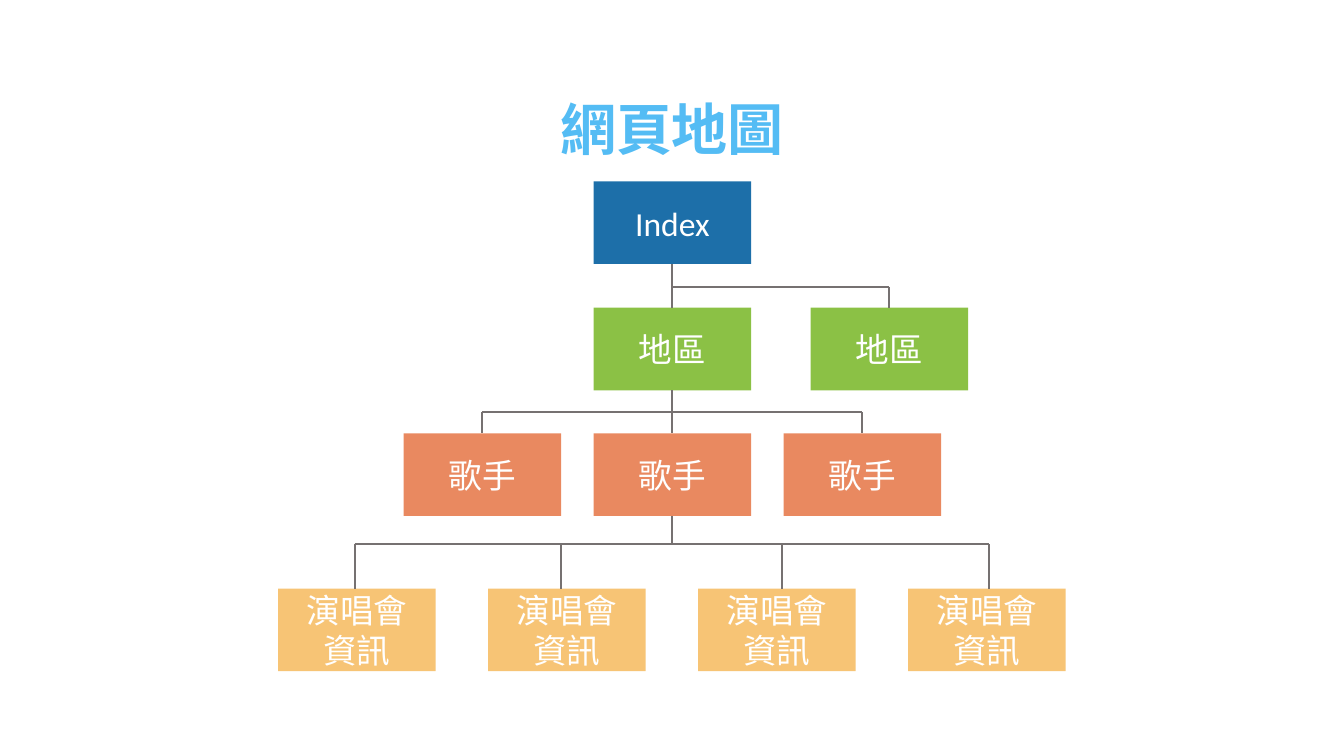
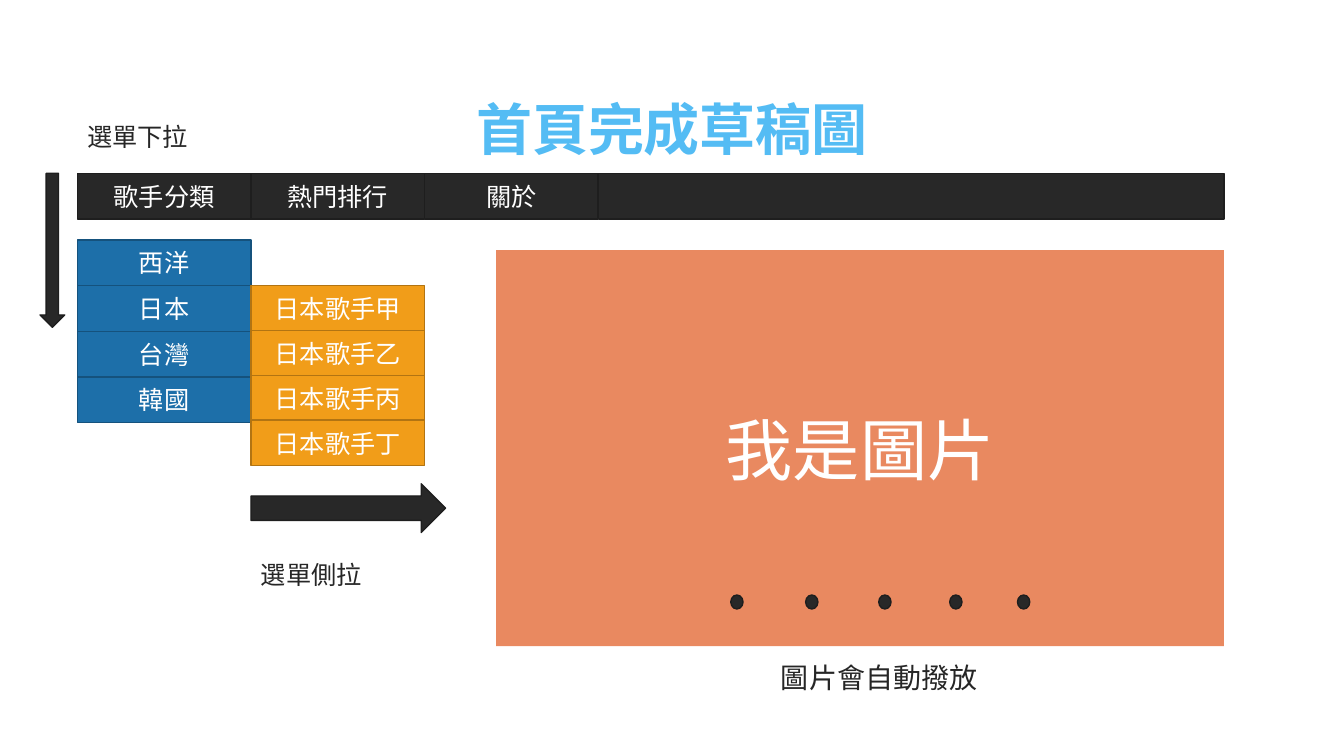
from lxml.etree import SubElement
from pptx import Presentation
from pptx.dml.color import RGBColor
from pptx.enum.shapes import MSO_CONNECTOR, MSO_SHAPE
from pptx.enum.text import MSO_ANCHOR, MSO_AUTO_SIZE, PP_ALIGN
from pptx.oxml.ns import qn
from pptx.util import Pt

# Shared style
CJK, LATIN = "Noto Sans CJK TC", "Calibri"
WHITE, INK, TITLE_BLUE = "FFFFFF", "262626", "54BCF4"
DARK, DARK_EDGE = "282828", "1E1E1E"
BLUE, BLUE_EDGE = "1D6FA9", "15527D"
AMBER, AMBER_EDGE = "F19D19", "B27412"
GREEN, CORAL, SAND, GREY = "8BC145", "E98960", "F7C475", "767171"

# Site map and menu sizes
NODE_W, NODE_H = 112.5, 59
CELL_W, CELL_H = 124, 32.6


def color(hex_code):
    return RGBColor.from_string(hex_code)


def write(frame, words, size, ink, font=CJK, align=PP_ALIGN.LEFT, bold=False):
    frame.text = words
    for paragraph in frame.paragraphs:
        paragraph.alignment = align
        for run in paragraph.runs:
            run.font.size = Pt(size)
            run.font.bold = bold
            run.font.color.rgb = color(ink)
            run.font.name = font
            SubElement(run.font._element, qn("a:ea")).set("typeface", font)


def add_label(slide, words, left, top, width, height, size, ink=INK, **style):
    box = slide.shapes.add_textbox(Pt(left), Pt(top), Pt(width), Pt(height))
    write(box.text_frame, words, size, ink, **style)
    box.text_frame.word_wrap = False
    box.text_frame.auto_size = MSO_AUTO_SIZE.SHAPE_TO_FIT_TEXT
    return box


def add_title(slide, words, width):
    title = add_label(slide, words, 480 - width / 2, 40.3, width, 71.3, 40,
                      TITLE_BLUE, align=PP_ALIGN.CENTER, bold=True)
    title.text_frame.paragraphs[0].line_spacing = 1.5


def add_block(slide, left, top, width, height, fill, edge=None, words="",
              size=18, font=CJK, kind=MSO_SHAPE.RECTANGLE):
    block = slide.shapes.add_shape(kind, Pt(left), Pt(top), Pt(width), Pt(height))
    block.shadow.inherit = False
    block.fill.solid()
    block.fill.fore_color.rgb = color(fill)
    if edge:
        block.line.color.rgb = color(edge)
        block.line.width = Pt(1)
    else:
        block.line.fill.background()
    if words:
        block.text_frame.vertical_anchor = MSO_ANCHOR.MIDDLE
        write(block.text_frame, words, size, WHITE, font, PP_ALIGN.CENTER)


def add_line(slide, x1, y1, x2, y2):
    line = slide.shapes.add_connector(MSO_CONNECTOR.STRAIGHT,
                                      Pt(x1), Pt(y1), Pt(x2), Pt(y2))
    line.line.color.rgb = color(GREY)
    line.line.width = Pt(1.5)
    SubElement(line._element.spPr, qn("a:effectLst"))


def add_level(slide, lefts, top, fill, words, font=CJK):
    for left in lefts:
        add_block(slide, left, top, NODE_W, NODE_H, fill,
                  words=words, size=24, font=font)


def add_branch(slide, trunk, parent_top, bus, child_top, drops):
    """Trunk down from the parent, a bus across, a drop to each child."""
    add_line(slide, trunk, parent_top + NODE_H, trunk, bus)
    add_line(slide, min(drops), bus, max(drops), bus)
    for drop in drops:
        add_line(slide, drop, bus, drop, child_top)


def add_menu(slide, left, top, words, fill, edge, step_x=0, step_y=0):
    for i, entry in enumerate(words):
        add_block(slide, left + i * step_x, top + i * step_y,
                  CELL_W, CELL_H, fill, edge, entry)


def site_map(slide):
    add_title(slide, "網頁地圖", 176.4)
    index_top, region_top, singer_top, concert_top = 129.6, 219.8, 309.6, 420.5
    middle = 424
    trunk = middle + NODE_W / 2
    regions = [middle, 579]
    singers = [middle + i * 135.7 for i in (-1, 0, 1)]
    concerts = [198.7 + i * 150 for i in range(4)]

    # Boxes, level by level
    add_level(slide, [middle], index_top, BLUE, "Index", LATIN)
    add_level(slide, regions, region_top, GREEN, "地區")
    add_level(slide, singers, singer_top, CORAL, "歌手")
    add_level(slide, concerts, concert_top, SAND, "演唱會\n資訊")

    # Branches between the levels
    add_branch(slide, trunk, index_top, 205, region_top,
               [left + NODE_W / 2 for left in regions])
    add_branch(slide, trunk, region_top, 294.3, singer_top,
               [left + NODE_W / 2 for left in singers])
    add_branch(slide, trunk, singer_top, 388.8, concert_top,
               [253.4, 401, 558.7, 706.3])


def home_draft(slide):
    add_title(slide, "首頁完成草稿圖", 297.4)
    left, bar_top, menu_top = 55.3, 123.8, 171.5
    side_left = left + CELL_W
    bar_end = left + 3 * CELL_W

    # Navigation bar
    add_menu(slide, left, bar_top, ["歌手分類", "熱門排行", "關於"],
             DARK, DARK_EDGE, step_x=CELL_W)
    add_block(slide, bar_end, bar_top, 874.3 - bar_end, CELL_H, DARK, DARK_EDGE)

    # Drop-down and side menus
    add_menu(slide, left, menu_top, ["西洋", "日本", "台灣", "韓國"],
             BLUE, BLUE_EDGE, step_y=CELL_H)
    singers = ["日本歌手" + mark for mark in "甲乙丙丁"]
    add_menu(slide, side_left, menu_top + CELL_H, singers,
             AMBER, AMBER_EDGE, step_y=32)

    # Arrows with their labels
    add_block(slide, 28.6, bar_top, 17.6, 110, DARK, DARK_EDGE,
              kind=MSO_SHAPE.DOWN_ARROW)
    add_label(slide, "選單下拉", left, 82.8, 87, 29, 18)
    add_block(slide, side_left, 345.6, 139, 34.8, DARK, DARK_EDGE,
              kind=MSO_SHAPE.RIGHT_ARROW)
    add_label(slide, "選單側拉", side_left, 396, 87, 29, 18)

    # Carousel with page dots
    add_block(slide, 354.4, 178.7, 519.9, 282.8, CORAL, words="我是圖片", size=48)
    for dot_left in (522, 575.5, 627.7, 678.4, 726.8):
        add_block(slide, dot_left, 425, 8.8, 10, DARK, DARK_EDGE,
                  kind=MSO_SHAPE.OVAL)
    add_label(slide, "圖片會自動撥放", 550.8, 468, 156.2, 31.5, 20)


def main():
    deck = Presentation()
    deck.slide_width, deck.slide_height = Pt(960), Pt(540)
    for build in (site_map, home_draft):
        build(deck.slides.add_slide(deck.slide_layouts[6]))
    deck.save("out.pptx")


main()
